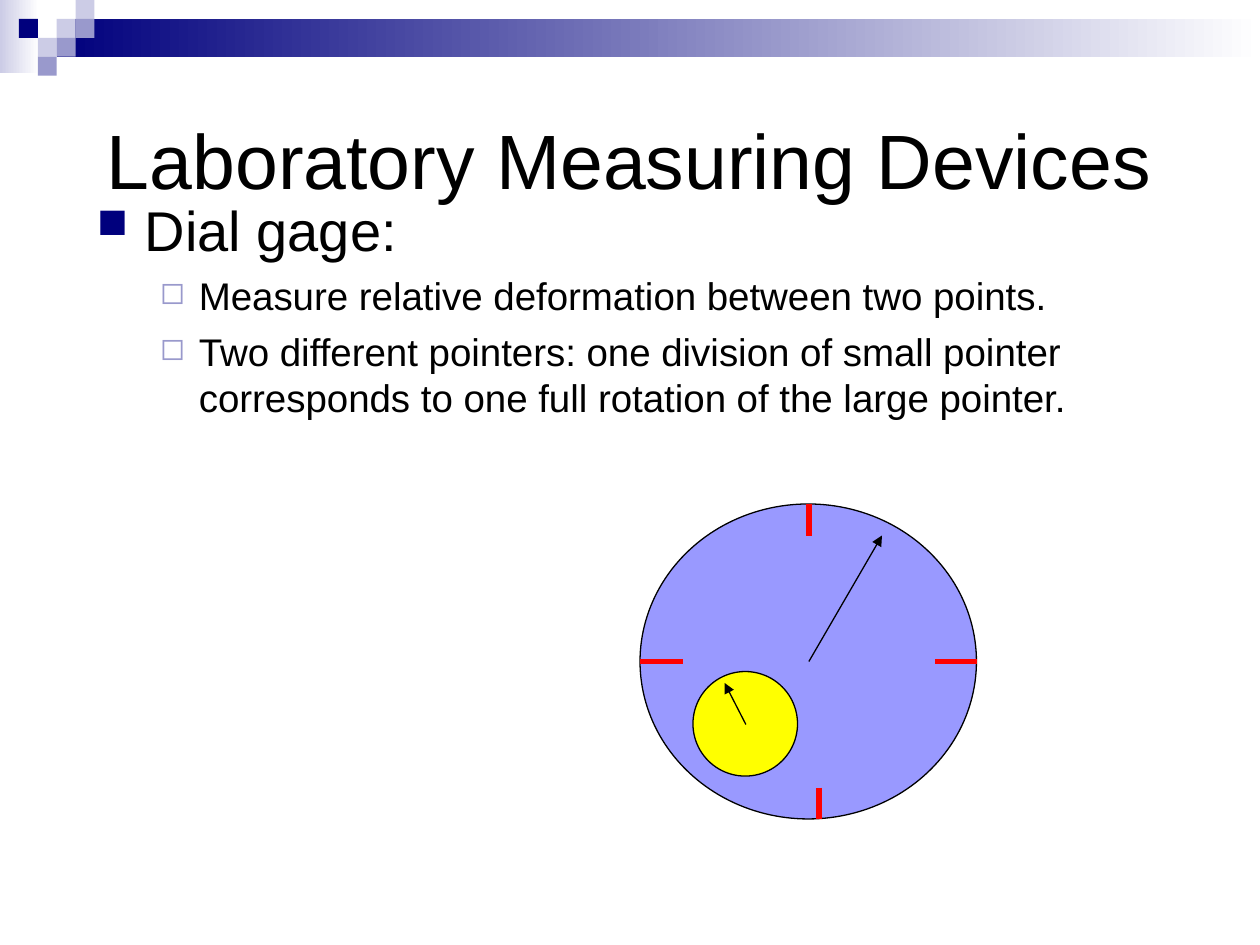
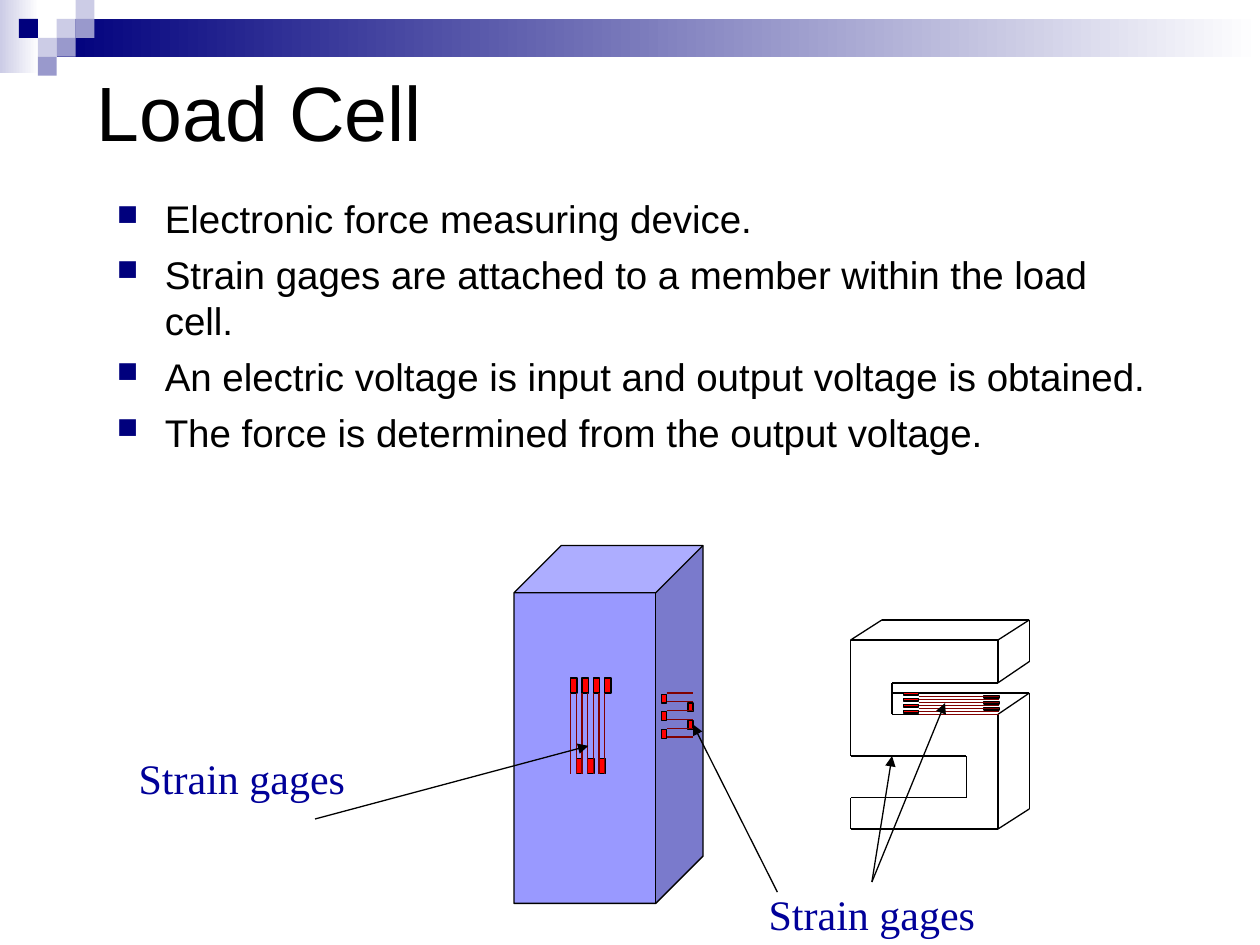
"""Build two slides on laboratory measuring devices: dial gage and load cell."""
from dataclasses import dataclass

from lxml.etree import SubElement
from pptx import Presentation
from pptx.dml.color import RGBColor
from pptx.enum.shapes import MSO_CONNECTOR, MSO_SHAPE
from pptx.enum.text import MSO_ANCHOR, PP_ALIGN
from pptx.oxml.ns import qn
from pptx.util import Inches, Pt


@dataclass(frozen=True)
class Theme:
    navy: str = "00007D"
    violet: str = "9999CC"
    lavender: str = "CCCCE6"
    white: str = "FFFFFF"
    black: str = "000000"
    body_blue: str = "9999FF"
    yellow: str = "FFFF00"
    red: str = "FF0000"
    wire: str = "800000"
    label: str = "000099"
    font: str = "Arial"
    label_font: str = "Times New Roman"
    title_size: float = 44
    heading_size: float = 32
    text_size: float = 22
    label_size: float = 24
    thin: float = 0.75
    thick: float = 3


@dataclass(frozen=True)
class BulletStyle:
    char: str
    color: str
    percent: int
    margin: float
    indent: float
    level: int


@dataclass(frozen=True)
class StrainGage:
    wire_from: float
    wire_to: float
    first_wire: float
    pitch: float
    wires: int
    pads: int
    pad_starts: tuple
    first_pad: float
    pad_length: float
    pad_width: float
    vertical: bool = False


THEME = Theme()
MAIN_BULLET = BulletStyle("■", THEME.navy, 75, 0.38, -0.38, 0)
SUB_BULLET = BulletStyle("◻", THEME.violet, 80, 0.81, -0.31, 1)
SQUARE = 0.15
SQUARES = [
    (3, 1, THEME.lavender), (4, 0, THEME.lavender), (4, 1, THEME.violet),
    (2, 2, THEME.lavender), (1, 1, THEME.navy), (3, 2, THEME.violet),
    (2, 3, THEME.violet),
]
FRONT_GAGE = StrainGage(5.5, 6.14, 4.53, 0.045, 7, 7, (5.38, 6.02),
                        4.53, 0.12, 0.05, vertical=True)
SIDE_GAGE = StrainGage(5.29, 5.5, 5.85, -0.07, 6, 5, (5.25, 5.46),
                       5.79, 0.04, 0.07)
INNER_GAGE = StrainGage(7.29, 7.93, 5.67, -0.024, 7, 7, (7.17, 7.81),
                        5.64, 0.12, 0.02)
S_CELL_EDGES = [
    [(7.92, 5.08), (6.75, 5.08), (6.75, 6), (7.67, 6), (7.67, 6.33),
     (6.75, 6.33), (6.75, 6.58), (7.92, 6.58), (7.92, 5.67), (7.08, 5.67),
     (7.08, 5.42), (7.92, 5.42), (7.92, 5.08), (8.17, 4.92)],
    [(6.75, 5.08), (7, 4.92), (8.17, 4.92), (8.17, 5.25), (7.92, 5.42)],
    [(7.92, 5.67), (8.17, 5.5), (8.17, 6.42), (7.92, 6.58)],
    [(8.17, 5.5), (7.08, 5.5)],
]


def rgb(value):
    """Turn a hex string into a colour."""
    return RGBColor.from_string(value)


def add_figure(slide, kind, box, fill, outline=None):
    """Add a preset shape with a plain fill and an optional thin outline."""
    shape = slide.shapes.add_shape(kind, *map(Inches, box))
    shape.shadow.inherit = False
    shape.fill.solid()
    shape.fill.fore_color.rgb = rgb(fill)
    if outline:
        shape.line.color.rgb = rgb(outline)
        shape.line.width = Pt(THEME.thin)
    else:
        shape.line.fill.background()
    return shape


def add_fading_band(slide, box, color):
    """Add a rectangle that fades from a colour on the left to white."""
    shape = add_figure(slide, MSO_SHAPE.RECTANGLE, box, color)
    shape.fill.gradient()
    shape.fill.gradient_angle = 180
    for stop, value in zip(shape.fill.gradient_stops, (THEME.white, color)):
        stop.color.rgb = rgb(value)


def add_line(slide, start, end, color=THEME.black, width=THEME.thin, arrow=False):
    """Add a straight line, with an arrowhead at its end on request."""
    points = map(Inches, (*start, *end))
    connector = slide.shapes.add_connector(MSO_CONNECTOR.STRAIGHT, *points)
    connector.line.color.rgb = rgb(color)
    connector.line.width = Pt(width)
    if arrow:
        line = connector.line._get_or_add_ln()
        SubElement(line, qn("a:tailEnd")).set("type", "triangle")
    SubElement(connector._element.spPr, qn("a:effectLst"))


def add_text_frame(slide, box, wrap=True):
    """Add a text box and return its frame."""
    frame = slide.shapes.add_textbox(*map(Inches, box)).text_frame
    frame.word_wrap = wrap
    return frame


def style_font(paragraph, size, name=THEME.font, color=THEME.black):
    """Set the type of a whole paragraph."""
    paragraph.font.size = Pt(size)
    paragraph.font.name = name
    paragraph.font.color.rgb = rgb(color)


def add_title(slide, text, box):
    """Add the slide title."""
    frame = add_text_frame(slide, box)
    frame.vertical_anchor = MSO_ANCHOR.MIDDLE
    frame.text = text
    style_font(frame.paragraphs[0], THEME.title_size)


def add_label(slide, text, box):
    """Add a centred serif label."""
    frame = add_text_frame(slide, box, wrap=False)
    frame.text = text
    paragraph = frame.paragraphs[0]
    paragraph.alignment = PP_ALIGN.CENTER
    style_font(paragraph, THEME.label_size, THEME.label_font, THEME.label)


def set_bullet(paragraph, style):
    """Give a paragraph its indent and bullet."""
    paragraph.level = style.level
    properties = paragraph._p.get_or_add_pPr()
    properties.set("marL", str(Inches(style.margin)))
    properties.set("indent", str(Inches(style.indent)))
    color = SubElement(properties, qn("a:buClr"))
    SubElement(color, qn("a:srgbClr")).set("val", style.color)
    SubElement(properties, qn("a:buSzPct")).set("val", str(style.percent * 1000))
    SubElement(properties, qn("a:buChar")).set("char", style.char)


def add_bullets(slide, box, items):
    """Add a list of (text, size, bullet style) items."""
    frame = add_text_frame(slide, box)
    for index, (text, size, style) in enumerate(items):
        paragraph = frame.add_paragraph() if index else frame.paragraphs[0]
        paragraph.text = text
        set_bullet(paragraph, style)
        if index:
            paragraph.space_before = Pt(size / 4)
        style_font(paragraph, size)


def add_strain_gage(slide, gage):
    """Draw parallel wires joined by pads at alternating ends."""
    for index in range(gage.wires):
        shift = index * gage.pitch
        if index < gage.pads:
            place = (gage.pad_starts[index % 2], gage.first_pad + shift)
            size = (gage.pad_length, gage.pad_width)
            if gage.vertical:
                place, size = place[::-1], size[::-1]
            add_figure(slide, MSO_SHAPE.RECTANGLE, place + size,
                       THEME.red, THEME.black)
        start = (gage.wire_from, gage.first_wire + shift)
        end = (gage.wire_to, gage.first_wire + shift)
        if gage.vertical:
            start, end = start[::-1], end[::-1]
        add_line(slide, start, end, THEME.wire)


def add_themed_slide(presentation):
    """Add a blank slide with the banner and its squares."""
    slide = presentation.slides.add_slide(presentation.slide_layouts[6])
    add_fading_band(slide, (0, 0, 0.31, 0.58), THEME.lavender)
    add_fading_band(slide, (0.45, 0.15, 9.55, 0.3), THEME.navy)
    for column, row, color in SQUARES:
        box = (column * SQUARE, row * SQUARE, SQUARE, SQUARE)
        add_figure(slide, MSO_SHAPE.RECTANGLE, box, color)
    return slide


def build_dial_gage(presentation):
    """Build the dial gage slide."""
    slide = add_themed_slide(presentation)
    add_title(slide, "Laboratory Measuring Devices", (0.75, 0.58, 8.5, 1.36))
    add_bullets(slide, (0.67, 1.5, 8.5, 4.5), [
        ("Dial gage:", THEME.heading_size, MAIN_BULLET),
        ("Measure relative deformation between two points.",
         THEME.text_size, SUB_BULLET),
        ("Two different pointers: one division of small pointer corresponds "
         "to one full rotation of the large pointer.",
         THEME.text_size, SUB_BULLET),
    ])
    for box, color in [((5.08, 4, 2.67, 2.5), THEME.body_blue),
                       ((5.5, 5.33, 0.83, 0.83), THEME.yellow)]:
        add_figure(slide, MSO_SHAPE.OVAL, box, color, THEME.black)
    for start, end in [((6.42, 4), (6.42, 4.25)), ((7.75, 5.25), (7.42, 5.25)),
                       ((6.5, 6.25), (6.5, 6.5)), ((5.08, 5.25), (5.42, 5.25))]:
        add_line(slide, start, end, THEME.red, THEME.thick)
    add_line(slide, (6.42, 5.25), (7, 4.25), arrow=True)
    add_line(slide, (5.92, 5.75), (5.75, 5.42), arrow=True)


def build_load_cell(presentation):
    """Build the load cell slide."""
    slide = add_themed_slide(presentation)
    cube = add_figure(slide, MSO_SHAPE.CUBE, (4.08, 4.33, 1.5, 2.84),
                      THEME.body_blue, THEME.black)
    cube.adjustments[0] = 0.25
    add_title(slide, "Load Cell", (0.67, 0.25, 8.5, 1.25))
    add_bullets(slide, (0.83, 1.5, 8.5, 5.33), [
        (text, THEME.text_size, MAIN_BULLET) for text in (
            "Electronic force measuring device.",
            "Strain gages are attached to a member within the load cell.",
            "An electric voltage is input and output voltage is obtained.",
            "The force is determined from the output voltage.",
        )
    ])
    add_strain_gage(slide, SIDE_GAGE)
    add_strain_gage(slide, FRONT_GAGE)
    for points in S_CELL_EDGES:
        for start, end in zip(points, points[1:]):
            add_line(slide, start, end)
    add_strain_gage(slide, INNER_GAGE)
    for left, top in [(1, 5.92), (6, 7)]:
        add_label(slide, "Strain gages", (left, top, 1.84, 0.5))
    for start, end in [((2.5, 6.5), (4.67, 5.92)), ((6.17, 7.08), (5.5, 5.75)),
                       ((6.92, 7), (7.5, 5.58)), ((6.92, 7), (7.08, 6))]:
        add_line(slide, start, end, arrow=True)


def main():
    """Build and save the presentation."""
    presentation = Presentation()
    presentation.slide_width = Inches(10)
    presentation.slide_height = Inches(7.5)
    build_dial_gage(presentation)
    build_load_cell(presentation)
    presentation.save("out.pptx")


if __name__ == "__main__":
    main()
